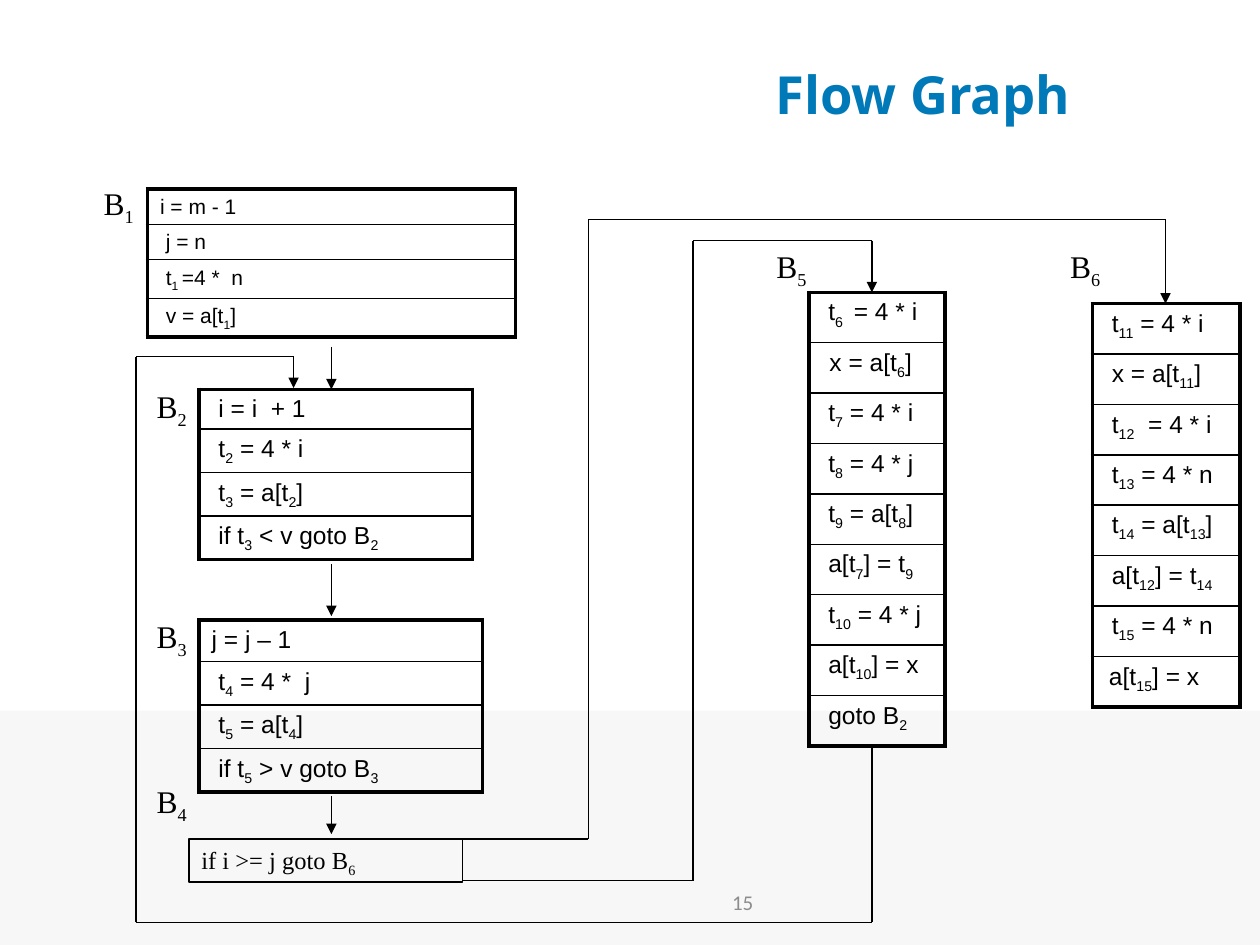
from dataclasses import dataclass
from itertools import pairwise

from lxml import etree
from pptx import Presentation
from pptx.dml.color import RGBColor
from pptx.enum.shapes import MSO_CONNECTOR, MSO_SHAPE
from pptx.enum.text import MSO_ANCHOR, MSO_AUTO_SIZE, PP_ALIGN
from pptx.oxml import parse_xml
from pptx.oxml.ns import nsdecls, qn
from pptx.util import Inches, Pt

RECT = MSO_SHAPE.RECTANGLE
LINE = MSO_CONNECTOR.STRAIGHT
LEFT, MID, RIGHT = PP_ALIGN.LEFT, PP_ALIGN.CENTER, PP_ALIGN.RIGHT
TOP, HALF = MSO_ANCHOR.TOP, MSO_ANCHOR.MIDDLE
GROW = MSO_AUTO_SIZE.SHAPE_TO_FIT_TEXT
INK = "000000"
THICK, THIN = 2.25, 1


@dataclass
class Block:
    left: float
    top: float
    width: float
    row: float
    size: int
    lines: list[str]


@dataclass
class Label:
    text: str
    left: float
    top: float


@dataclass
class Route:
    points: list[tuple[float, float]]


BLOCKS = [
    Block(1.17, 1.5, 2.92, 0.28, 12, [
        "i = m - 1", " j = n", " t|1 |=4 *  n", " v = a[t|1|]"]),
    Block(1.58, 3.09, 2.17, 0.29, 14, [
        " i = i  + 1", " t|2| = 4 * i", " t|3| = a[t|2|]",
        " if t|3| < v goto B|2"]),
    Block(1.58, 4.92, 2.25, 0.33, 14, [
        "j = j – 1", " t|4| = 4 *  j", " t|5| = a[t|4|]",
        " if t|5| > v goto B|3"]),
    Block(6.42, 2.32, 1.08, 0.4, 14, [
        " t|6 | = 4 * i", "|  |x = a[t|6|]", " t|7| = 4 * i",
        " t|8| = 4 * j", " t|9| = a[t|8|]", " a[t|7|] = t|9",
        " t|10| = 4 * j", " a[t|10|] = x", " goto B|2"]),
    Block(8.67, 2.41, 1.17, 0.4, 14, [
        " t|11| = 4 * i", " x = a[t|11|]", " t|12|  = 4 * i",
        " t|13| = 4 * n", " t|14| = a[t|13|]", " a[t|12|] = t|14",
        " t|15| = 4 * n", "| |a[t|15|] = x"]),
]
LABELS = [
    Label("B|1", 0.33, 1.41), Label("B|2", 0.75, 3.02),
    Label("B|3", 0.75, 4.85), Label("B|4", 0.75, 6.16),
    Label("B|5", 5.67, 1.91), Label("B|6", 8, 1.91),
]
ROUTES = [
    Route([(2.63, 2.75), (2.63, 3.09)]),
    Route([(2.63, 4.48), (2.63, 4.89)]),
    Route([(2.63, 6.32), (2.63, 6.62)]),
    Route([(3.67, 6.66), (4.67, 6.66), (4.67, 1.74), (9.25, 1.74),
           (9.25, 2.41)]),
    Route([(3.67, 6.99), (5.5, 6.99), (5.5, 1.91), (6.92, 1.91),
           (6.92, 2.32)]),
    Route([(6.92, 5.91), (6.92, 7.32), (1.08, 7.32), (1.08, 2.83),
           (2.33, 2.83), (2.33, 3.08)]),
]


def color(code: str) -> RGBColor:
    return RGBColor.from_string(code)


def write(frame, text: str, size: int, face: str, code: str = INK,
          align=LEFT, bold: bool = False) -> None:
    para = frame.paragraphs[0]
    para.alignment = align
    for index, part in enumerate(text.split("|")):
        if not part:
            continue
        run = para.add_run()
        run.text = part
        font = run.font
        font.size = Pt(size)
        font.name = face
        font.bold = bold
        font.color.rgb = color(code)
        if index % 2:
            font._element.set("baseline", "-25000")


def add_text(slide, left: float, top: float, width: float, height: float,
             text: str, size: int, face: str, code: str = INK,
             align=MID, anchor=HALF, bold: bool = False):
    box = slide.shapes.add_textbox(
        Inches(left), Inches(top), Inches(width), Inches(height))
    frame = box.text_frame
    frame.word_wrap = True
    frame.vertical_anchor = anchor
    write(frame, text, size, face, code, align, bold)
    return box


def add_rect(slide, left: float, top: float, width: float, height: float):
    rect = slide.shapes.add_shape(
        RECT, Inches(left), Inches(top), Inches(width), Inches(height))
    rect.shadow.inherit = False
    return rect


def add_edge(cell, side: str, width: float) -> None:
    cell._tc.get_or_add_tcPr().append(parse_xml(
        f'<a:ln{side} {nsdecls("a")} w="{Pt(width)}"><a:solidFill>'
        f'<a:srgbClr val="{INK}"/></a:solidFill></a:ln{side}>'))


def add_block(slide, block: Block) -> None:
    count = len(block.lines)
    table = slide.shapes.add_table(
        count, 1, Inches(block.left), Inches(block.top),
        Inches(block.width), Inches(block.row * count)).table
    table.first_row = False
    table.horz_banding = False
    for index, text in enumerate(block.lines):
        table.rows[index].height = Inches(block.row)
        cell = table.cell(index, 0)
        cell.margin_top = Inches(0.05)
        cell.margin_bottom = Inches(0.03)
        write(cell.text_frame, text, block.size, "Arial")
        add_edge(cell, "L", THICK)
        add_edge(cell, "R", THICK)
        add_edge(cell, "T", THICK if index == 0 else THIN)
        add_edge(cell, "B", THICK if index == count - 1 else THIN)
        cell.fill.background()


def add_route(slide, route: Route) -> None:
    for start, end in pairwise(route.points):
        link = slide.shapes.add_connector(
            LINE, *(Inches(value) for value in start + end))
        link.line.color.rgb = color(INK)
        link.line.width = Pt(0.75)
        etree.SubElement(link._element.spPr, qn("a:effectLst"))
    etree.SubElement(link.line._get_or_add_ln(), qn("a:tailEnd"),
                     type="triangle")


def main() -> None:
    deck = Presentation()
    deck.slide_width = Inches(10)
    deck.slide_height = Inches(7.5)
    slide = deck.slides.add_slide(deck.slide_layouts[6])

    band = add_rect(slide, 0, 5.64, 10, 1.86)
    band.fill.solid()
    band.fill.fore_color.rgb = color("F7F7F7")
    band.line.fill.background()

    add_text(slide, 4.31, 6.9, 3.17, 0.52, "15", 12, "Calibri", "8C8C8C")
    add_text(slide, 4.92, 0.33, 4.81, 0.83, "Flow Graph", 30, "Open Sans",
             "0079B8", bold=True)

    for block in BLOCKS:
        add_block(slide, block)

    test = add_rect(slide, 1.5, 6.66, 2.17, 0.34)
    test.fill.background()
    test.line.color.rgb = color(INK)
    test.line.width = Pt(0.75)
    frame = test.text_frame
    frame.word_wrap = True
    frame.auto_size = GROW
    frame.vertical_anchor = TOP
    write(frame, "if i >= j goto B|6", 14, "Times New Roman")

    for route in ROUTES:
        add_route(slide, route)
    for label in LABELS:
        box = add_text(slide, label.left, label.top, 0.83, 0.4, label.text,
                       18, "Times New Roman", align=RIGHT, anchor=TOP)
        box.text_frame.auto_size = GROW
    deck.save("out.pptx")


if __name__ == "__main__":
    main()
